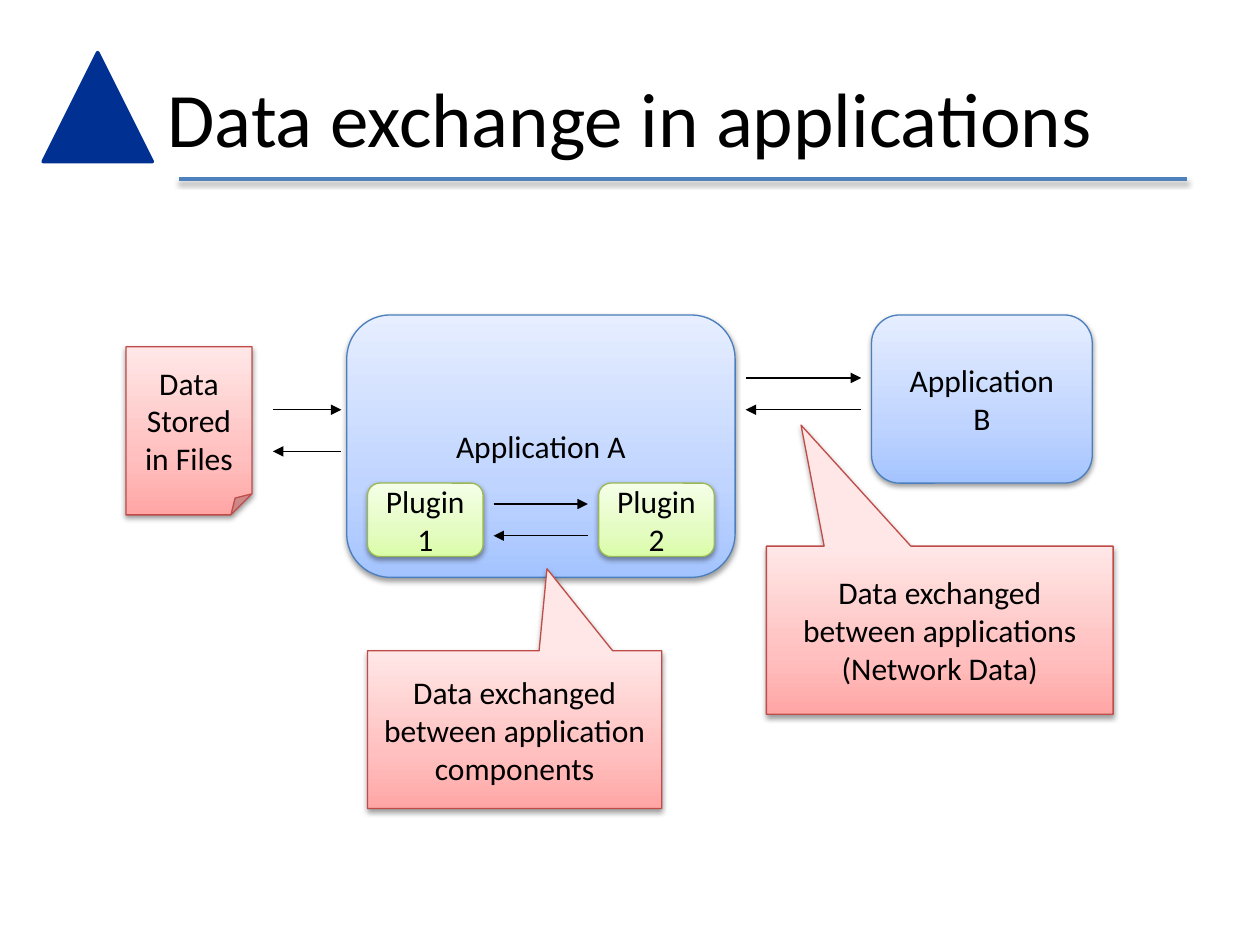
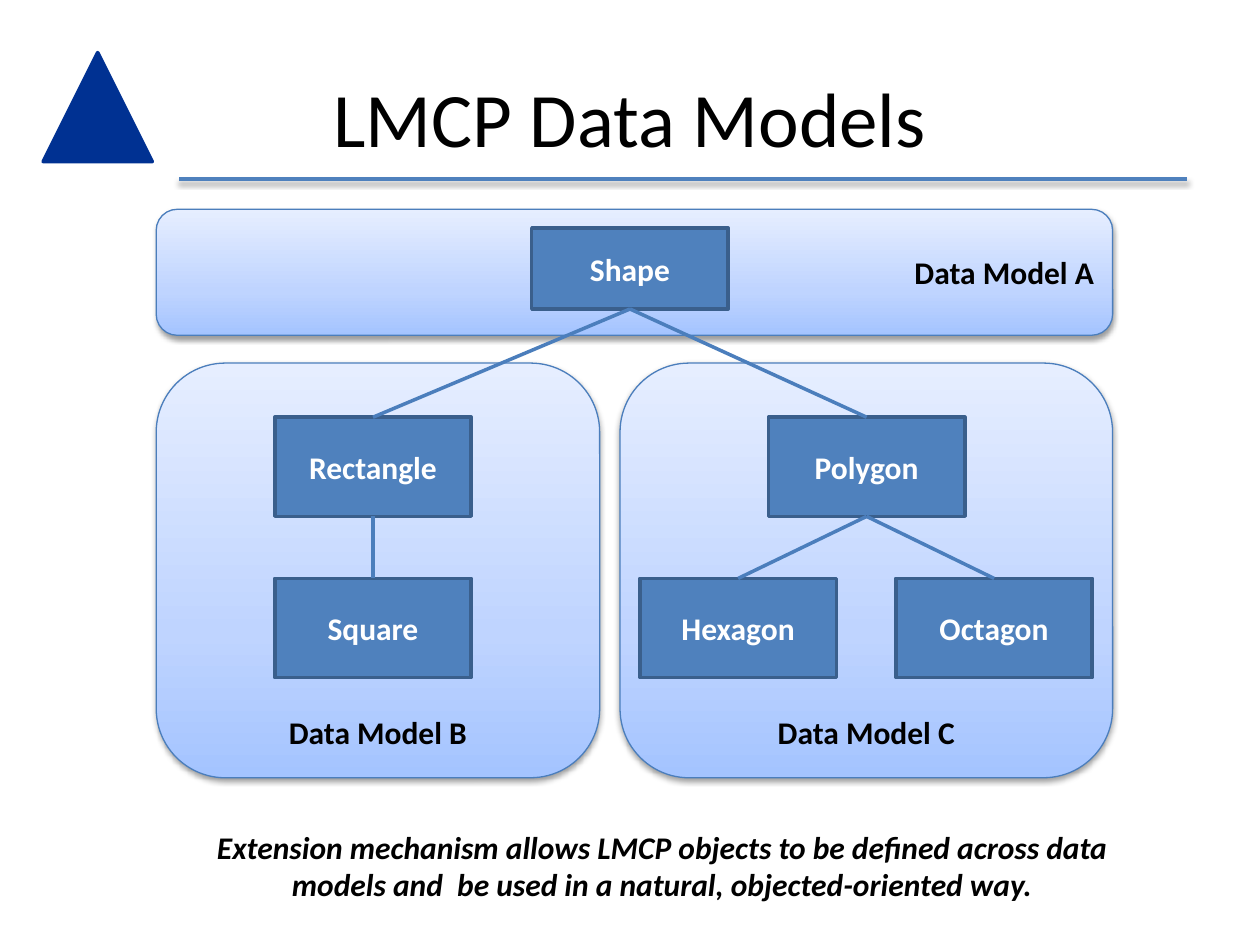
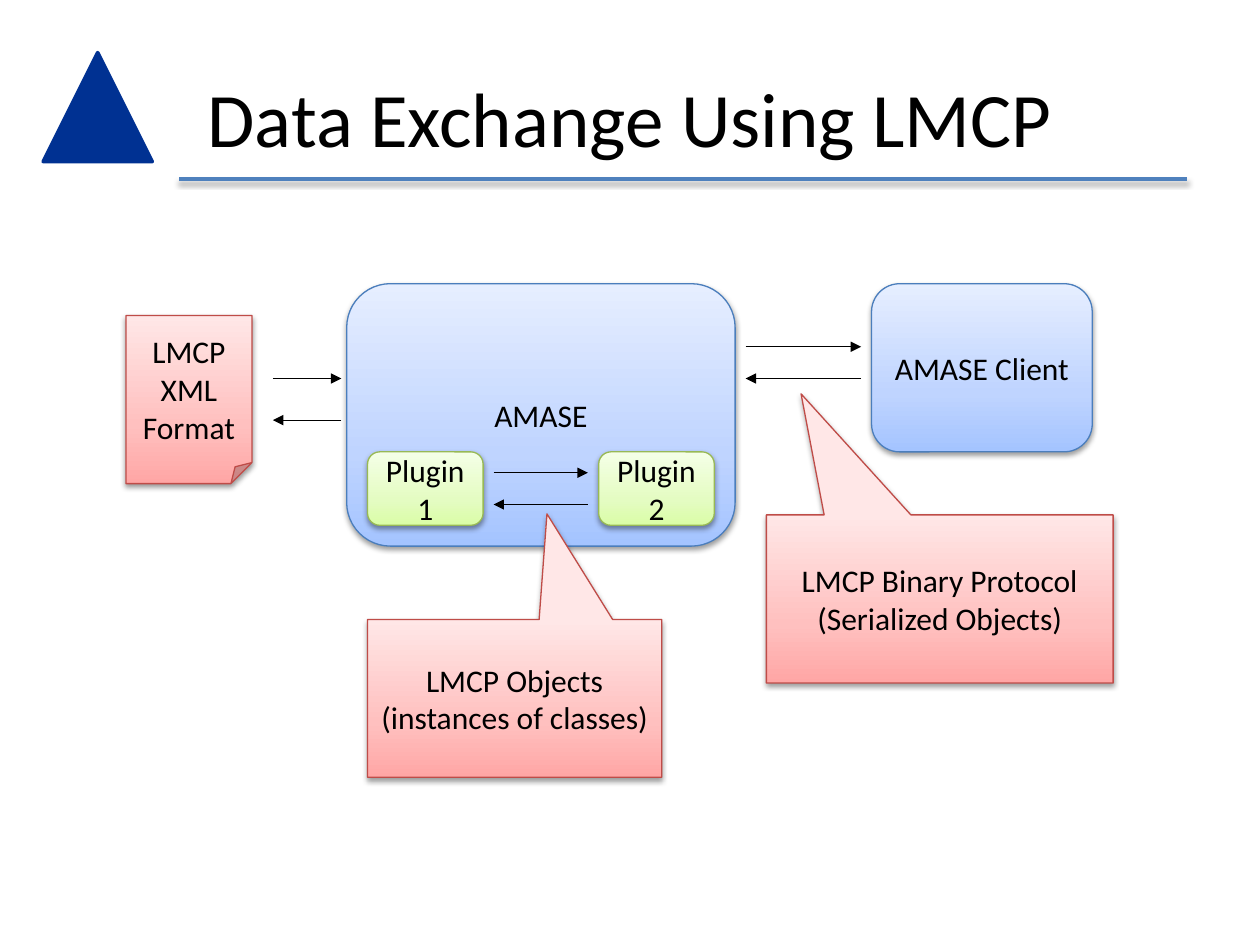
from dataclasses import dataclass
from typing import NamedTuple

from pptx import Presentation
from pptx.dml.color import RGBColor
from pptx.enum.shapes import MSO_CONNECTOR, MSO_SHAPE
from pptx.enum.text import MSO_ANCHOR, PP_ALIGN
from pptx.oxml import parse_xml
from pptx.oxml.ns import nsdecls, qn
from pptx.util import Cm, Pt

STRAIGHT = MSO_CONNECTOR.STRAIGHT
RECT, ROUNDED = MSO_SHAPE.RECTANGLE, MSO_SHAPE.ROUNDED_RECTANGLE
CALLOUT, FOLDED = MSO_SHAPE.RECTANGULAR_CALLOUT, MSO_SHAPE.FOLDED_CORNER
TRIANGLE = MSO_SHAPE.ISOSCELES_TRIANGLE
TOP, MIDDLE, BOTTOM = MSO_ANCHOR.TOP, MSO_ANCHOR.MIDDLE, MSO_ANCHOR.BOTTOM
CENTER, RIGHT = PP_ALIGN.CENTER, PP_ALIGN.RIGHT
TOP_SITE, BOTTOM_SITE = 0, 2


class Tint(NamedTuple):
    """Gradient from bottom to top, and the outline that goes with it."""
    low: str
    mid: str
    high: str
    line: str


@dataclass(frozen=True)
class Theme:
    font: str = "Calibri"
    title_size: int = 44
    body_size: int = 18
    black: str = "000000"
    white: str = "FFFFFF"
    accent: str = "4F81BD"
    accent_dark: str = "3A5F8C"
    navy: str = "003192"
    thin: float = 0.75
    thick: float = 2
    blue: Tint = Tint("A4C4FF", "BFD4FF", "E6EEFF", "4B7EBC")
    red: Tint = Tint("FFA6A5", "FFC0BF", "FFE7E7", "BF4C48")
    green: Tint = Tint("DAFDA7", "E4FCC2", "F5FFE7", "98B955")


THEME = Theme()


class Box(NamedTuple):
    """A region of the page, in centimetres."""
    left: float
    top: float
    width: float
    height: float

    def inner(self, x, y, width, height):
        return Box(self.left + x, self.top + y, width, height)

    def lengths(self):
        return [Cm(value) for value in self]


# ---- Drawing helpers ----

def write(shape, lines, size=THEME.body_size, color=THEME.black, bold=False,
          italic=False, align=CENTER, anchor=MIDDLE):
    frame = shape.text_frame
    frame.word_wrap = True
    frame.vertical_anchor = anchor
    frame.text = lines
    for para in frame.paragraphs:
        para.alignment = align
        font = para.font
        font.name, font.size = THEME.font, Pt(size)
        font.bold, font.italic = bold, italic
        font.color.rgb = RGBColor.from_string(color)


def set_line(shape, color, width):
    shape.line.color.rgb = RGBColor.from_string(color)
    shape.line.width = Pt(width)


def set_effects(element, shadow):
    """Replace the inherited effects by none, or by a soft drop shadow."""
    content = ('<a:outerShdw blurRad="40000" dist="20000" dir="5400000" rotWithShape="0">'
               f'<a:srgbClr val="{THEME.black}"><a:alpha val="38000"/></a:srgbClr>'
               '</a:outerShdw>') if shadow else ""
    element.spPr.append(parse_xml(
        f'<a:effectLst {nsdecls("a")}>{content}</a:effectLst>'))


def add_flat(page, kind, box, fill, line):
    shape = page.shapes.add_shape(kind, *box.lengths())
    shape.fill.solid()
    shape.fill.fore_color.rgb = RGBColor.from_string(fill)
    set_line(shape, line, THEME.thick)
    shape.shadow.inherit = False
    return shape


def add_tinted(page, kind, box, tint, lines, **style):
    shape = page.shapes.add_shape(kind, *box.lengths())
    stops = "".join(
        f'<a:gs pos="{position}"><a:srgbClr val="{color}"/></a:gs>'
        for position, color in zip((0, 35000, 100000), tint))
    gradient = parse_xml(
        f'<a:gradFill {nsdecls("a")} rotWithShape="1"><a:gsLst>{stops}</a:gsLst>'
        '<a:lin ang="16200000" scaled="0"/></a:gradFill>')
    shape._element.spPr.find(qn("a:prstGeom")).addnext(gradient)
    set_line(shape, tint.line, THEME.thin)
    set_effects(shape._element, shadow=True)
    write(shape, lines, **style)
    return shape


def add_line(page, start, end, color, width, shadow=False):
    line = page.shapes.add_connector(STRAIGHT, *map(Cm, (*start, *end)))
    set_line(line, color, width)
    set_effects(line._element, shadow)
    return line


def add_exchange(page, box):
    """An arrow to the right along the box's top, one back along its bottom."""
    right, bottom = box.left + box.width, box.top + box.height
    for start, end in (((box.left, box.top), (right, box.top)),
                       ((right, bottom), (box.left, bottom))):
        arrow = add_line(page, start, end, THEME.black, THEME.thin)
        arrow._element.spPr.find(qn("a:ln")).append(parse_xml(
            f'<a:tailEnd {nsdecls("a")} type="triangle"/>'))


def add_callout(page, box, lines, tip):
    callout = add_tinted(page, CALLOUT, box, THEME.red, lines)
    callout.adjustments[0], callout.adjustments[1] = tip


# ---- Regions ----

def draw_header(page, box, title):
    # Plain emblem and rule
    add_flat(page, TRIANGLE, box.inner(-0.4, 0.3, 2.2, 2.2), THEME.navy, THEME.navy)
    rule = box.top + 2.85
    add_line(page, (box.left + 2.34, rule), (box.left + box.width - 0.2, rule),
             THEME.accent, THEME.thick, shadow=True)
    # Title
    write(page.shapes.add_textbox(*box.lengths()), title, size=THEME.title_size)


def draw_exchange(page, box, application, client, network, files, components,
                  component_tip):
    # Applications
    add_tinted(page, ROUNDED, box.inner(4.45, 0, 7.83, 5.29), THEME.blue, application)
    add_tinted(page, ROUNDED, box.inner(15.03, 0, 4.45, 3.39), THEME.blue, client)
    add_exchange(page, box.inner(12.49, 1.27, 2.33, 0.64))
    add_callout(page, box.inner(12.91, 4.66, 6.99, 3.39), network, (-0.4, -1.22))
    # Files
    add_tinted(page, FOLDED, box.inner(0, 0.64, 2.54, 3.39), THEME.red, files)
    add_exchange(page, box.inner(2.96, 1.91, 1.38, 0.84))
    # Plugins
    for number, x in enumerate((4.87, 9.53), start=1):
        add_tinted(page, ROUNDED, box.inner(x, 3.39, 2.33, 1.48), THEME.green,
                   f"Plugin\n{number}")
    add_exchange(page, box.inner(7.41, 3.81, 1.9, 0.64))
    add_callout(page, box.inner(4.87, 6.77, 5.93, 3.18), components,
                (0.11, component_tip))


def draw_models(page, box):
    # Data models
    lower_top, lower_height = 3.1, 8.36
    for letter, place, align, anchor in (
            ("C", (9.35, lower_top, 9.93, lower_height), CENTER, BOTTOM),
            ("A", (0, 0, box.width, 2.54), RIGHT, MIDDLE),
            ("B", (0, lower_top, 8.94, lower_height), CENTER, BOTTOM)):
        add_tinted(page, ROUNDED, box.inner(*place), THEME.blue,
                   f"Data Model {letter}", bold=True, align=align, anchor=anchor)
    # Classes: name, parent, left, top, height
    classes = {}
    links = []
    for name, parent, x, y, height in (
            ("Shape", None, 7.57, 0.38, 1.63),
            ("Rectangle", "Shape", 2.39, 4.19, 2),
            ("Square", "Rectangle", 2.39, 7.44, 2),
            ("Polygon", "Shape", 12.34, 4.19, 2),
            ("Octagon", "Polygon", 14.91, 7.44, 2),
            ("Hexagon", "Polygon", 9.75, 7.44, 2)):
        classes[name] = add_flat(page, RECT, box.inner(x, y, 3.96, height),
                                 THEME.accent, THEME.accent_dark)
        write(classes[name], name, color=THEME.white, bold=True)
        if parent:
            links.append((parent, name))
    # Inheritance
    for parent, child in links:
        link = add_line(page, (0, 0), (0, 0), THEME.blue.line, THEME.thick)
        link.begin_connect(classes[parent], BOTTOM_SITE)
        link.end_connect(classes[child], TOP_SITE)


def draw_note(page, box, lines):
    write(page.shapes.add_textbox(*box.lengths()), lines, bold=True, italic=True,
          anchor=TOP)


# ---- Deck ----

def add_page(deck, title):
    page = deck.slides.add_slide(deck.slide_layouts[6])
    draw_header(page, Box(1.27, 0.76, 22.86, 3.18), title)
    return page


def main():
    deck = Presentation()
    deck.slide_width, deck.slide_height = Cm(25.4), Cm(19.05)

    page = add_page(deck, "Data exchange in applications")
    draw_exchange(
        page, Box(2.54, 6.35, 19.9, 9.95),
        application="Application A",
        client="Application\nB",
        network="Data exchanged between applications\n(Network Data)",
        files="Data Stored in Files",
        components="Data exchanged between application components",
        component_tip=-1.02)

    page = add_page(deck, "LMCP Data Models")
    draw_models(page, Box(3.15, 4.22, 19.28, 11.46))
    draw_note(page, Box(3.61, 16.56, 19.48, 1.8),
              "Extension mechanism allows LMCP objects to be defined across data "
              "models and  be used in a natural, objected-oriented way.")

    page = add_page(deck, "Data Exchange Using LMCP")
    draw_exchange(
        page, Box(2.54, 5.72, 19.9, 9.95),
        application="AMASE",
        client="AMASE Client",
        network="LMCP Binary Protocol\n(Serialized Objects)",
        files="LMCP\nXML\nFormat",
        components="LMCP Objects\n(instances of classes)",
        component_tip=-1.17)

    deck.save("out.pptx")


if __name__ == "__main__":
    main()
